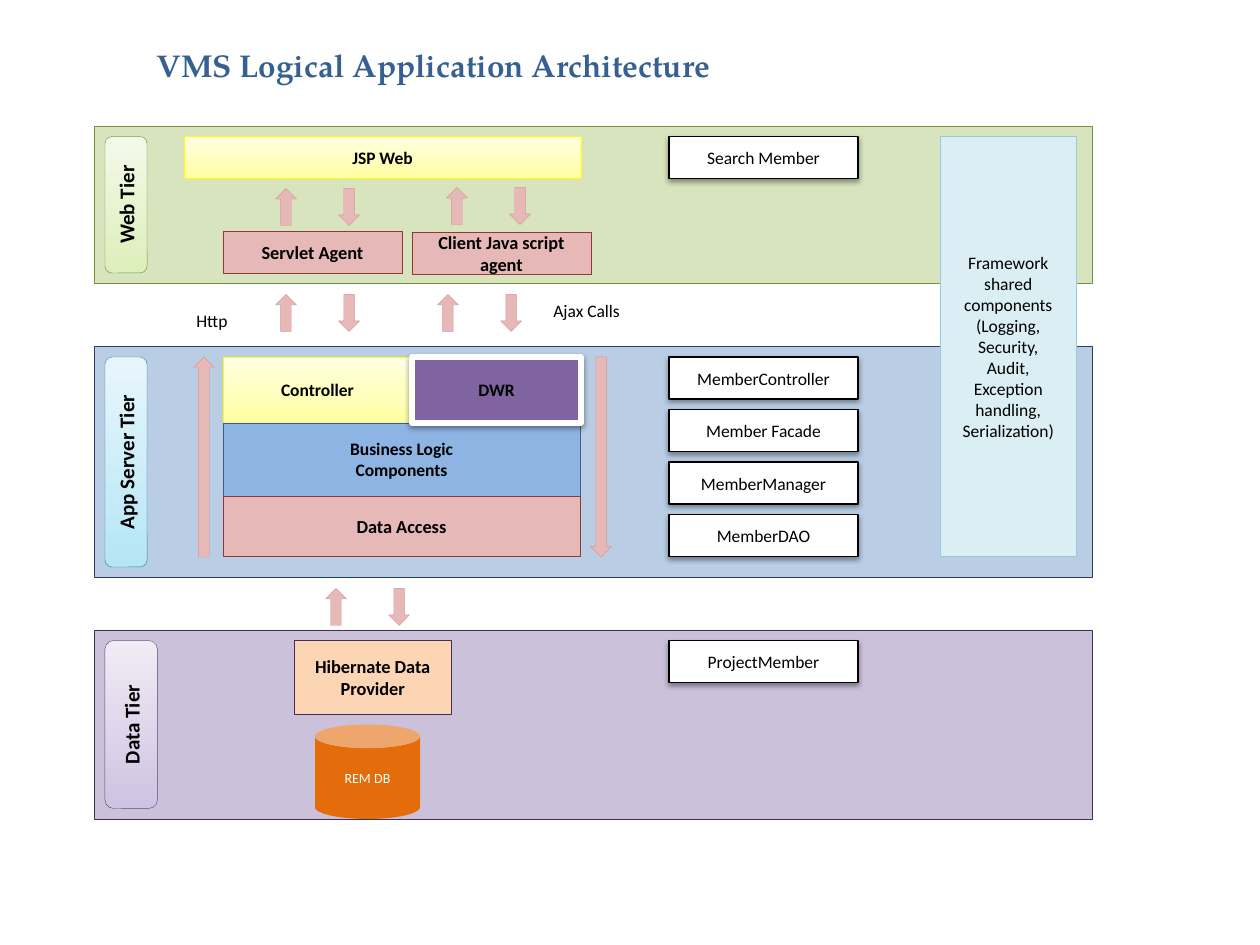
import pptx
import pptx.util
import pptx.dml.color
import pptx.enum.shapes
import pptx.enum.text
import pptx.oxml.ns
from lxml import etree

PX = 914400 // 126
SHAPE = pptx.enum.shapes.MSO_SHAPE
ALIGN = pptx.enum.text.PP_ALIGN
ANCHOR = pptx.enum.text.MSO_ANCHOR
FIT = pptx.enum.text.MSO_AUTO_SIZE

COLORS = {
    "title": "376092", "black": "000000", "white": "FFFFFF",
    "web": "D7E4BD", "web_line": "77933C", "web_dark": "DDEFBB", "web_light": "F3F9E9",
    "app": "B9CDE5", "app_line": "254061", "app_dark": "B5E6F5", "app_light": "E8F6FB",
    "app_tab_line": "31859C",
    "data": "CCC1DA", "data_line": "403152", "data_dark": "D0C2E2", "data_light": "F0ECF5",
    "data_tab_line": "604A7B",
    "yellow_dark": "FFFFA0", "yellow_light": "FFFFE3", "yellow_line": "FFFF00",
    "pink": "E6B9B8", "pink_line": "953735", "arrow_line": "D99694",
    "logic": "8EB4E3", "logic_line": "3A5F8C", "dwr": "8064A2",
    "provider": "FCD5B5", "database": "E46C0A",
    "framework": "DBEEF4", "framework_line": "93CDDD",
}
YELLOW = ("yellow_dark", "yellow_light")


def rgb(name):
    """Return the named colour."""
    return pptx.dml.color.RGBColor.from_string(COLORS[name])


def place(sp, left, top, width, height):
    """Put a shape at a pixel frame."""
    frame = {"left": left, "top": top, "width": width, "height": height}
    for name, value in frame.items():
        setattr(sp, name, int(value * PX))


def write(tf, lines, size, color="black", bold=False, font="Calibri", align=ALIGN.CENTER):
    """Fill a text frame, one paragraph for each line."""
    formats = {"size": pptx.util.Pt(size), "bold": bold, "name": font}
    for i, line in enumerate(lines.split("\n")):
        p = tf.add_paragraph() if i else tf.paragraphs[0]
        p.alignment = align
        r = p.add_run()
        r.text = line
        for name, value in formats.items():
            setattr(r.font, name, value)
        r.font.color.rgb = rgb(color)


def add_shadow(sp):
    """Give a shape a soft shadow below it."""
    effects = sp._element.spPr.find(pptx.oxml.ns.qn("a:effectLst"))
    shadow = etree.SubElement(effects, pptx.oxml.ns.qn("a:outerShdw"), blurRad="40000",
                              dist="20000", dir="5400000", rotWithShape="0")
    color = etree.SubElement(shadow, pptx.oxml.ns.qn("a:srgbClr"), val=COLORS["black"])
    etree.SubElement(color, pptx.oxml.ns.qn("a:alpha"), val="38000")


def add_box(s, frame, fill, line=None, weight=0.25, kind=SHAPE.RECTANGLE, text="",
            size=10, bold=True, color="black", shadow=False):
    """Add a preset shape; a pair of fills makes a gradient from bottom to top."""
    sp = s.shapes.add_shape(kind, 0, 0, 0, 0)
    place(sp, *frame)
    sp.shadow.inherit = False
    if shadow:
        add_shadow(sp)
    if isinstance(fill, tuple):
        sp.fill.gradient()
        sp.fill.gradient_angle = 90
        for stop, name in zip(sp.fill.gradient_stops, fill):
            stop.color.rgb = rgb(name)
    else:
        sp.fill.solid()
        sp.fill.fore_color.rgb = rgb(fill)
    if line:
        sp.line.color.rgb = rgb(line)
        sp.line.width = pptx.util.Pt(weight)
    else:
        sp.line.fill.background()
    if text:
        sp.text_frame.vertical_anchor = ANCHOR.MIDDLE
        write(sp.text_frame, text, size, color, bold)
    return sp


def add_tier(s, top, height, tab_width, tab_height, name, key, tab_line):
    """Add a tier band and its tab with upward text."""
    add_box(s, (94.5, top, 998, height), key, key + "_line")
    tab = add_box(s, (105, top + 10.5, tab_width, tab_height), (key + "_dark", key + "_light"),
                  tab_line, kind=SHAPE.ROUNDED_RECTANGLE, text=name, size=12)
    tab._element.txBody.bodyPr.set("vert", "vert270")


def add_arrow(s, x, y, rotation, length=37):
    """Add a block arrow centred on a point and turned up or down."""
    frame = (x - length / 2, y - 10.5, length, 21)
    sp = add_box(s, frame, "pink", "arrow_line", kind=SHAPE.RIGHT_ARROW)
    sp.rotation = rotation


def add_arrow_pair(s, x, y, gap=63, length=37):
    """Add an up arrow and a down arrow beside it."""
    add_arrow(s, x, y, 270, length)
    add_arrow(s, x + gap, y, 90, length)


def add_member(s, top, text):
    """Add a white class box in the member column."""
    add_box(s, (669, top, 189, 42), "white", "black", 0.75, text=text, bold=False, shadow=True)


def add_label(s, left, top, width, text):
    """Add a short unwrapped label."""
    sp = s.shapes.add_textbox(0, 0, 0, 0)
    place(sp, left, top, width, 34)
    sp.text_frame.word_wrap = False
    sp.text_frame.auto_size = FIT.SHAPE_TO_FIT_TEXT
    write(sp.text_frame, text, 10, align=ALIGN.LEFT)


def add_title(s, text):
    """Move and format the title placeholder."""
    sp = s.shapes.title
    place(sp, 144, 40, 592, 50)
    tf = sp.text_frame
    settings = {"word_wrap": False, "auto_size": FIT.SHAPE_TO_FIT_TEXT,
                "vertical_anchor": ANCHOR.TOP}
    for name, value in settings.items():
        setattr(tf, name, value)
    write(tf, text, 18, "title", True, "TeX Gyre Pagella", ALIGN.LEFT)


def main():
    """Build the slide and save it."""
    prs = pptx.Presentation()
    prs.slide_width, prs.slide_height = pptx.util.Inches(10), pptx.util.Inches(7.5)
    s = prs.slides.add_slide(prs.slide_layouts[5])
    add_title(s, "VMS Logical Application Architecture")

    add_tier(s, 126, 157.5, 42, 136.5, "Web Tier", "web", "web_line")
    add_tier(s, 346.5, 231, 42, 210, "App Server Tier", "app", "app_tab_line")
    add_tier(s, 630, 189, 52.5, 168, "Data Tier", "data", "data_tab_line")

    add_box(s, (184, 136.5, 397, 42), YELLOW, "yellow_line", text="JSP Web")
    for left, top, text in ((223, 231, "Servlet Agent"), (412, 232, "Client Java script agent")):
        add_box(s, (left, top, 179, 42), "pink", "pink_line", text=text, size=10.5)

    add_box(s, (223, 357, 189, 66), YELLOW, "yellow_line", text="Controller")
    add_box(s, (223, 423, 357, 73), "logic", "logic_line", text="Business Logic\nComponents")
    add_box(s, (223, 496, 357, 60), "pink", "pink_line", text="Data Access", size=10.5)
    add_box(s, (412, 357, 169, 66), "dwr", "white", 3, text="DWR", shadow=True)

    add_box(s, (294, 640.5, 157.5, 73.5), "provider", "data_line",
            text="Hibernate Data Provider", size=10.5)
    add_box(s, (315, 724.5, 105, 94.5), "database", kind=SHAPE.CAN, text="REM DB",
            size=8, bold=False, color="white")

    add_member(s, 136.5, "Search Member")
    app_members = ("MemberController", "Member Facade", "MemberManager", "MemberDAO")
    for i, text in enumerate(app_members):
        add_member(s, 357 + 52.5 * i, text)
    add_member(s, 640.5, "ProjectMember")

    for x, y in ((286, 207), (457, 206), (286, 313), (448, 313), (336, 607)):
        add_arrow_pair(s, x, y)
    add_arrow_pair(s, 204, 457, gap=397, length=200)

    add_label(s, 541, 294, 92, "Ajax Calls")
    add_label(s, 184, 304, 58, "Http")
    framework = ("Framework shared components\n(Logging,\nSecurity,\nAudit,\n"
                 "Exception handling,\nSerialization)")
    add_box(s, (940, 136.5, 136.5, 420), "framework", "framework_line",
            text=framework, bold=False)
    prs.save("out.pptx")


main()
